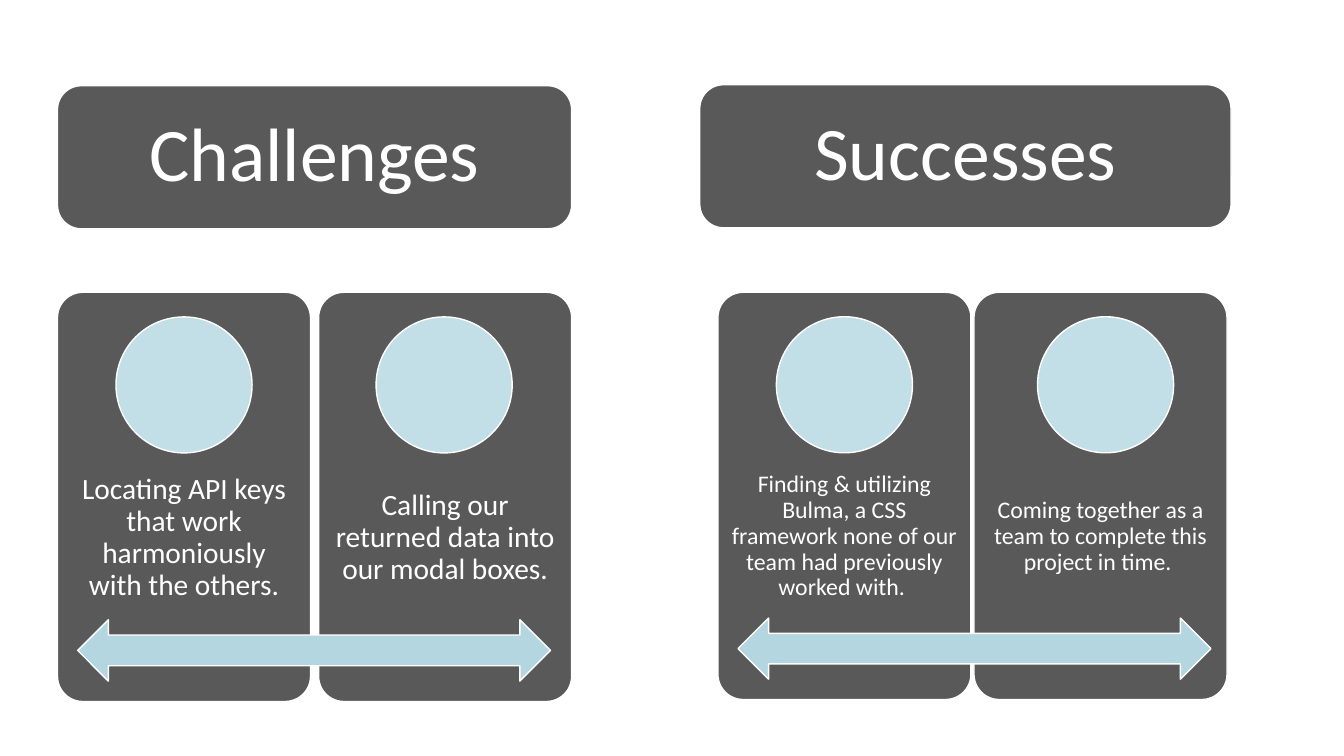
from pptx import Presentation
from pptx.dml.color import RGBColor
from pptx.enum.shapes import MSO_SHAPE as Preset
from pptx.enum.text import MSO_ANCHOR as Anchor, PP_ALIGN as Align
from pptx.util import Inches, Pt

COLORS = {"card": "595959", "circle": "C2DEE6", "arrow": "B3D6E0", "white": "FFFFFF"}
SLIDE_SIZE = (13.33, 7.5)
HEADER_HEIGHT = 1.42
CARD_TOP, CARD_WIDTH = 2.9, 2.51
CIRCLE_SIZE = 1.35
ARROW_INSET, ARROW_WIDTH = 0.2, 4.69
SHARES = {"circle": 0.06, "text": 0.4, "arrow": 0.8, "arrow_height": 0.15}

PANELS = [
    {
        "title": "Challenges", "header": (0.57, 0.85, 5.1),
        "card_height": 4.06, "size": 21, "inset": 0.16,
        "cards": [
            (0.57, 1.15, "Locating API keys that work harmoniously with the others."),
            (3.16, 3.73, "Calling our returned data into our modal boxes."),
        ],
    },
    {
        "title": "Successes", "header": (6.94, 0.84, 5.27),
        "card_height": 4.04, "size": 17, "inset": 0.13,
        "cards": [
            (7.12, 7.7, "Finding & utilizing Bulma, a CSS framework none of our "
                        "team had previously worked with. "),
            (9.66, 10.29, "Coming together as a team to complete this project in time. "),
        ],
    },
]


def color(name):
    return RGBColor.from_string(COLORS[name])


def set_values(target, values):
    for name, value in values.items():
        setattr(target, name, value)


def add_block(group, preset, box, fill, corner=None):
    shape = group.shapes.add_shape(preset, *map(Inches, box))
    shape.shadow.inherit = False
    shape.fill.solid()
    shape.fill.fore_color.rgb = color(fill)
    shape.line.color.rgb = color("white")
    shape.line.width = Pt(1)
    if corner is not None:
        shape.adjustments[0] = corner
    return shape


def write_text(shape, text, size, inset):
    frame = shape.text_frame
    set_values(frame, {"word_wrap": True, "vertical_anchor": Anchor.MIDDLE})
    sides = ("left", "top", "right", "bottom")
    set_values(frame, {f"margin_{side}": Inches(inset) for side in sides})
    paragraph = frame.paragraphs[0]
    set_values(paragraph, {"alignment": Align.CENTER, "line_spacing": 0.9})
    run = paragraph.add_run()
    run.text = text
    set_values(run.font, {"name": "Calibri", "size": Pt(size)})
    run.font.color.rgb = color("white")


def add_header(slide, panel):
    group = slide.shapes.add_group_shape()
    box = (*panel["header"], HEADER_HEIGHT)
    header = add_block(group, Preset.ROUNDED_RECTANGLE, box, "card")
    write_text(header, panel["title"], 54, 0.23)


def add_card(group, panel, left, circle_left, text):
    height = panel["card_height"]
    card_box = (left, CARD_TOP, CARD_WIDTH, height)
    add_block(group, Preset.ROUNDED_RECTANGLE, card_box, "card", 0.1)
    text_box = (left, CARD_TOP + SHARES["text"] * height, CARD_WIDTH, SHARES["text"] * height)
    label = group.shapes.add_textbox(*map(Inches, text_box))
    write_text(label, text, panel["size"], panel["inset"])
    circle_top = CARD_TOP + SHARES["circle"] * height
    circle_box = (circle_left, circle_top, CIRCLE_SIZE, CIRCLE_SIZE)
    add_block(group, Preset.OVAL, circle_box, "circle")


def add_cards(slide, panel):
    group = slide.shapes.add_group_shape()
    for card in panel["cards"]:
        add_card(group, panel, *card)
    height = panel["card_height"]
    arrow_box = (panel["cards"][0][0] + ARROW_INSET, CARD_TOP + SHARES["arrow"] * height,
                 ARROW_WIDTH, SHARES["arrow_height"] * height)
    add_block(group, Preset.LEFT_RIGHT_ARROW, arrow_box, "arrow")


def main():
    presentation = Presentation()
    width, height = map(Inches, SLIDE_SIZE)
    set_values(presentation, {"slide_width": width, "slide_height": height})
    slide = presentation.slides.add_slide(presentation.slide_layouts[6])
    for panel in PANELS:
        add_header(slide, panel)
        add_cards(slide, panel)
    presentation.save("out.pptx")


if __name__ == "__main__":
    main()
